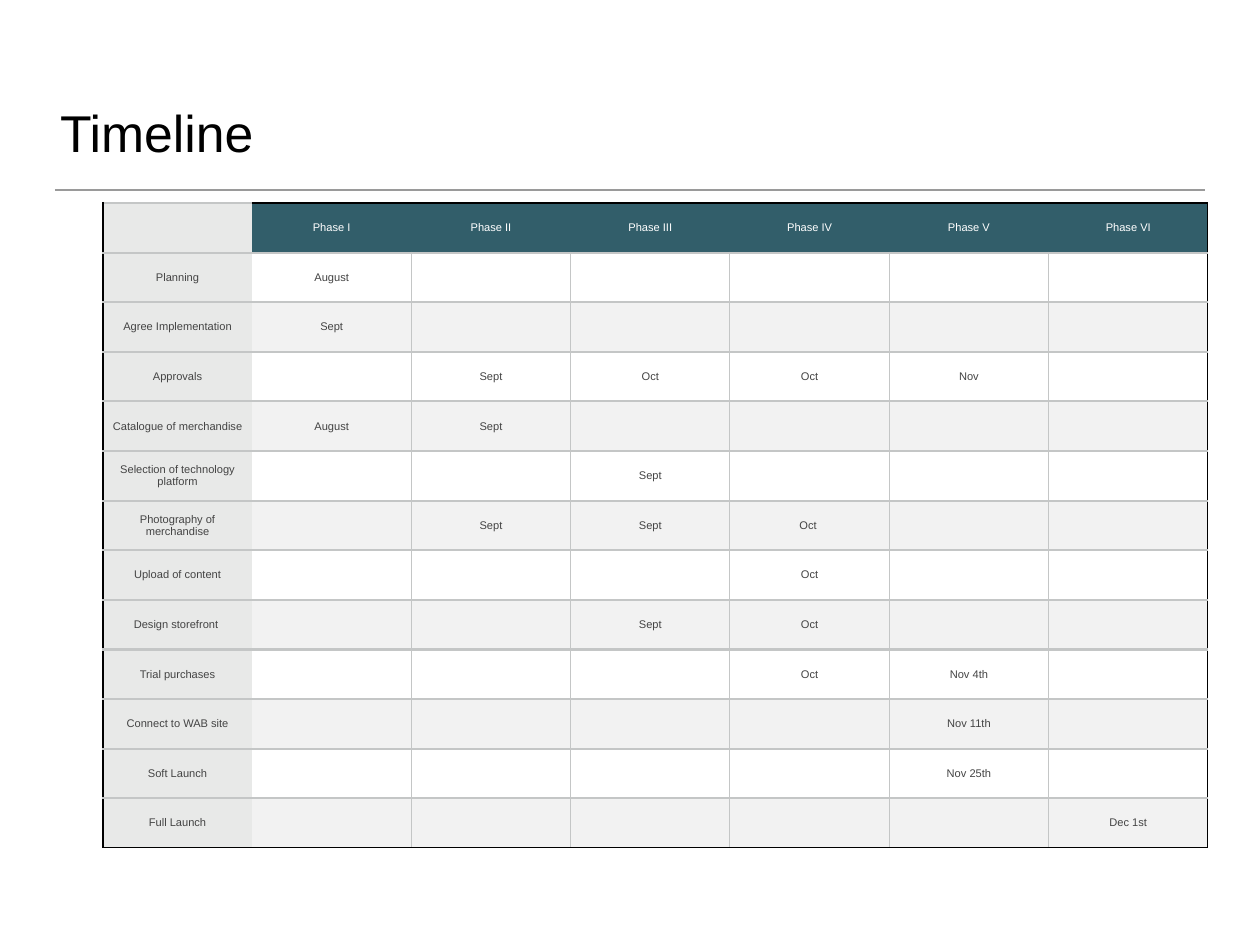
"""Build the Timeline slide: a title, a rule and a table of project phases."""
from lxml import etree
from pptx import Presentation
from pptx.dml.color import RGBColor
from pptx.enum.shapes import MSO_CONNECTOR
from pptx.enum.text import MSO_ANCHOR, MSO_AUTO_SIZE, PP_ALIGN
from pptx.oxml.ns import qn
from pptx.util import Pt

SCALE = 10320
STRAIGHT = MSO_CONNECTOR.STRAIGHT
MIDDLE, BOTTOM = MSO_ANCHOR.MIDDLE, MSO_ANCHOR.BOTTOM
LEFT, CENTER = PP_ALIGN.LEFT, PP_ALIGN.CENTER
NO_AUTOFIT = MSO_AUTO_SIZE.NONE

BLACK = RGBColor(0x00, 0x00, 0x00)
WHITE = RGBColor(0xFF, 0xFF, 0xFF)
TEAL = RGBColor(0x32, 0x5E, 0x6A)
DARK_GREY = RGBColor(0x44, 0x44, 0x44)
RULE_GREY = RGBColor(0x9A, 0x9A, 0x9A)
GRID_GREY = RGBColor(0xC4, 0xC6, 0xC6)
LABEL_GREY = RGBColor(0xE8, 0xE9, 0xE8)
BAND_GREY = RGBColor(0xF2, 0xF2, 0xF2)

TABLE_LEFT, TABLE_TOP, TABLE_WIDTH, TABLE_HEIGHT = 103, 203, 1105, 645
TASK_WIDTH = 149
INSET = 5

SCHEDULE = [
    ("", "Phase I", "Phase II", "Phase III", "Phase IV", "Phase V", "Phase VI"),
    ("Planning", "August", "", "", "", "", ""),
    ("Agree Implementation", "Sept", "", "", "", "", ""),
    ("Approvals", "", "Sept", "Oct", "Oct", "Nov", ""),
    ("Catalogue of merchandise", "August", "Sept", "", "", "", ""),
    ("Selection of technology platform", "", "", "Sept", "", "", ""),
    ("Photography of merchandise", "", "Sept", "Sept", "Oct ", "", ""),
    ("Upload of content", "", "", "", "Oct", "", ""),
    ("Design storefront ", "", "", "Sept", "Oct", "", ""),
    ("Trial purchases", "", "", "", "Oct", "Nov 4th", ""),
    ("Connect to WAB site", "", "", "", "", "Nov 11th", ""),
    ("Soft Launch", "", "", "", "", "Nov 25th", ""),
    ("Full Launch", "", "", "", "", "", "Dec 1st"),
]


def write(frame, bounds, text, *, size, color, align, anchor):
    """Put formatted text in a frame; bounds carries its insets and anchor."""
    bounds.margin_left = bounds.margin_right = INSET * SCALE
    bounds.margin_top = bounds.margin_bottom = INSET * SCALE
    bounds.vertical_anchor = anchor
    paragraph = frame.paragraphs[0]
    paragraph.alignment = align
    paragraph.font.size = Pt(size)
    if text:
        run = paragraph.add_run()
        run.text = text
        run.font.name = "Arial"
        run.font.size = Pt(size)
        run.font.color.rgb = color


def set_border(cell, side, color, points):
    """Draw one side of a cell, or leave it open when color is None."""
    border = etree.SubElement(cell._tc.get_or_add_tcPr(), qn(f"a:ln{side}"), w=str(Pt(points)))
    if color is None:
        etree.SubElement(border, qn("a:noFill"))
    else:
        fill = etree.SubElement(border, qn("a:solidFill"))
        etree.SubElement(fill, qn("a:srgbClr"), val=str(color))


presentation = Presentation()
presentation.slide_width = 1260 * SCALE
presentation.slide_height = 945 * SCALE
slide = presentation.slides.add_slide(presentation.slide_layouts[5])

heading = slide.shapes.title
heading.left, heading.top = 55 * SCALE, 32 * SCALE
heading.width, heading.height = 1149 * SCALE, 136 * SCALE
heading.text_frame.auto_size = NO_AUTOFIT
write(heading.text_frame, heading.text_frame, "Timeline",
      size=42, color=BLACK, align=LEFT, anchor=BOTTOM)

heading_rule = slide.shapes.add_connector(
    STRAIGHT, 55 * SCALE, 190 * SCALE, 1205 * SCALE, 190 * SCALE)
heading_rule.line.color.rgb = RULE_GREY
heading_rule.line.width = Pt(1)
etree.SubElement(heading_rule._element.spPr, qn("a:effectLst"))

row_count, column_count = len(SCHEDULE), len(SCHEDULE[0])
last_row, last_column = row_count - 1, column_count - 1
timeline = slide.shapes.add_table(
    row_count, column_count, TABLE_LEFT * SCALE, TABLE_TOP * SCALE,
    TABLE_WIDTH * SCALE, TABLE_HEIGHT * SCALE).table
timeline.first_row = timeline.horz_banding = False
for column in timeline.columns:
    column.width = (TABLE_WIDTH - TASK_WIDTH) * SCALE // last_column
timeline.columns[0].width = TASK_WIDTH * SCALE
for row in timeline.rows:
    row.height = TABLE_HEIGHT * SCALE // row_count

for r, entries in enumerate(SCHEDULE):
    for c, entry in enumerate(entries):
        cell = timeline.cell(r, c)
        header = r == 0
        write(cell.text_frame, cell, entry, size=9,
              color=WHITE if header else DARK_GREY, align=CENTER, anchor=MIDDLE)

        inner = None if header else GRID_GREY
        left = BLACK if c == 0 else None if c == 1 else inner
        right = BLACK if c == last_column else None if c == 0 else inner
        top = (BLACK, 1) if header and c > 0 else (GRID_GREY, 2)
        bottom = (BLACK, 1) if r == last_row else (GRID_GREY, 2)
        set_border(cell, "L", left, 1)
        set_border(cell, "R", right, 1)
        set_border(cell, "T", *top)
        set_border(cell, "B", *bottom)

        cell.fill.solid()
        if c == 0:
            cell.fill.fore_color.rgb = LABEL_GREY
        elif header:
            cell.fill.fore_color.rgb = TEAL
        else:
            cell.fill.fore_color.rgb = WHITE if r % 2 else BAND_GREY

presentation.save("out.pptx")
